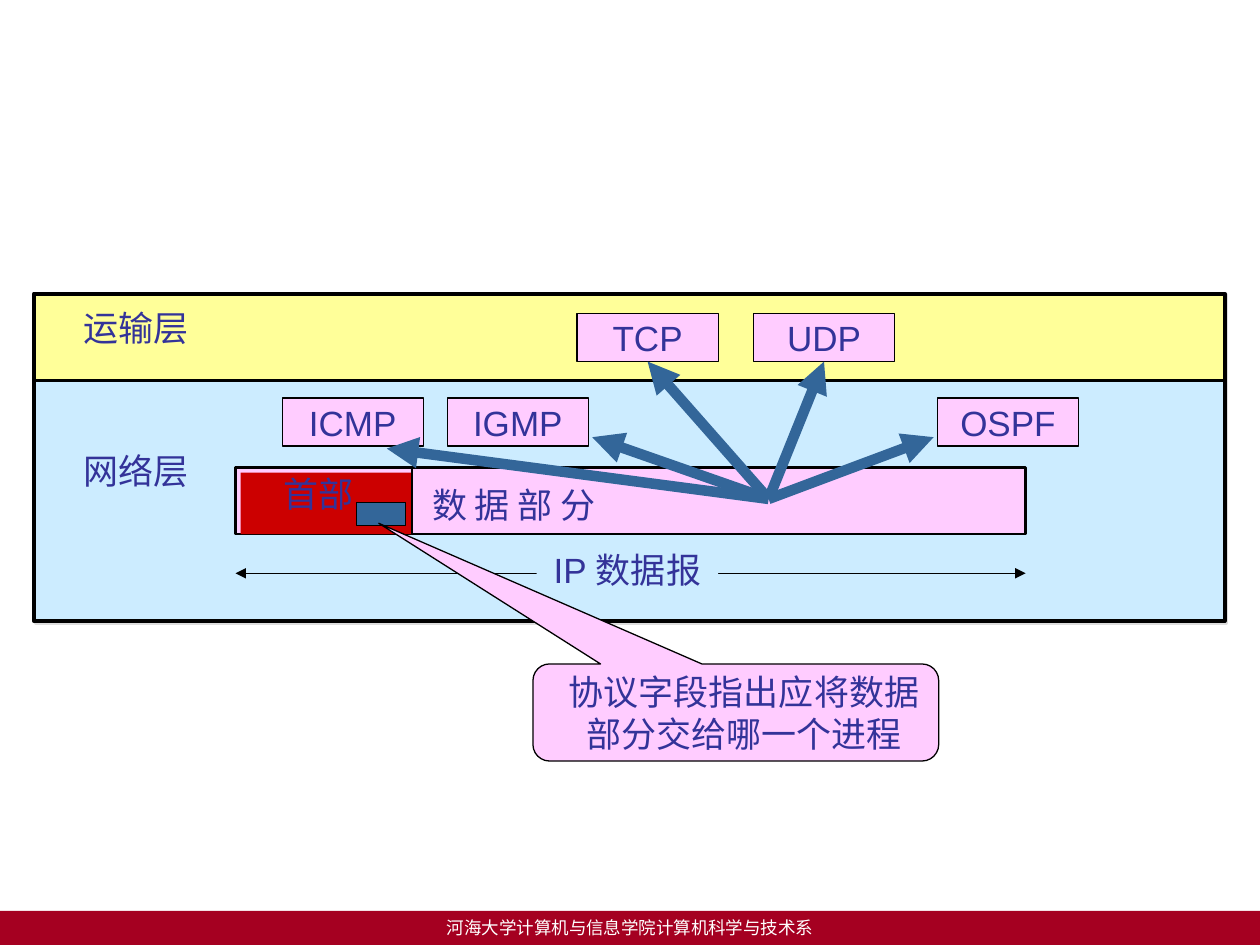
from typing import NamedTuple

from lxml.etree import SubElement as Sub
from pptx import Presentation
from pptx.dml.color import RGBColor as Color
from pptx.enum.shapes import MSO_CONNECTOR as Wire, MSO_SHAPE as Form
from pptx.enum.text import MSO_ANCHOR as Anchor, PP_ALIGN as Align
from pptx.oxml.ns import qn
from pptx.util import Emu, Inches, Pt

WIDTH, HEIGHT = Inches(10), Inches(7.5)
COLS, ROWS = 100, 75


class Theme:
    ink, white, black = "333399", "FFFFFF", "000000"
    sun, sky, pink = "FFFF99", "CCECFF", "FFCCFF"
    red, steel, wine, shade = "CC0000", "336699", "A50021", "DDDDDD"
    face, serif = "Arial", "Times New Roman"
    body, small = 20, 10
    thin, mid, bold, thick = 0.75, 1.5, 2.25, 6


class Box(NamedTuple):
    x: float
    y: float
    w: float
    h: float

    def inner(self, x, y, w, h):
        return Box(self.x + x, self.y + y, w, h)


def across(n):
    return Emu(round(WIDTH * n / COLS))


def down(n):
    return Emu(round(HEIGHT * n / ROWS))


def apply(item, style):
    for key, value in style.items():
        setattr(item, key, value)


def write(shape, text, left=0, top=0, align=Align.CENTER,
          anchor=Anchor.MIDDLE, size=Theme.body, face=Theme.face, ink=Theme.ink):
    frame = shape.text_frame
    apply(frame, {
        "margin_left": across(left), "margin_top": down(top),
        "margin_right": 0, "margin_bottom": 0,
        "word_wrap": False, "vertical_anchor": anchor,
    })
    for n, line in enumerate(text.split("\n")):
        para = frame.add_paragraph() if n else frame.paragraphs[0]
        para.alignment = align
        run = para.add_run()
        run.text = line
        apply(run.font, {"size": Pt(size), "name": face})
        run.font.color.rgb = Color.from_string(ink)


def draw(shapes, box, fill, line=0, form=Form.RECTANGLE):
    shape = shapes.add_shape(form, across(box.x), down(box.y), across(box.w), down(box.h))
    shape.shadow.inherit = False
    shape.fill.solid()
    shape.fill.fore_color.rgb = Color.from_string(fill)
    if line:
        shape.line.width = Pt(line)
        shape.line.color.rgb = Color.from_string(Theme.black)
    else:
        shape.line.fill.background()
    return shape


def label(shape, text, left, top):
    write(shape, text, left, top, Align.LEFT, Anchor.TOP)


def cast(shape):
    effects = shape._element.spPr.find(qn("a:effectLst"))
    shade = Sub(effects, qn("a:outerShdw"), dist=str(Pt(1.4)), dir="2700000", rotWithShape="0")
    Sub(shade, qn("a:srgbClr"), val=Theme.shade)


def link(shapes, start, end, color, width, heads=()):
    wire = shapes.add_connector(Wire.STRAIGHT, across(start[0]), down(start[1]),
                                across(end[0]), down(end[1]))
    wire.line.width = Pt(width)
    wire.line.color.rgb = Color.from_string(color)
    outline = wire._element.spPr.find(qn("a:ln"))
    for head in heads:
        Sub(outline, qn(f"a:{head}"), type="triangle")
    Sub(wire._element.spPr, qn("a:effectLst"))
    return wire


def paint_page(shapes, box):
    foot = 2.7
    bar = draw(shapes, box.inner(0, box.h - foot, box.w, foot), Theme.wine)
    write(bar, "河海大学计算机与信息学院计算机科学与技术系",
          size=Theme.small, face=Theme.serif, ink=Theme.white)
    draw(shapes, box.inner(0, 0, box.w, box.h - foot - 0.1), Theme.white)


def paint_layers(shapes, box):
    split = 6.9
    layers = (("运输层", 0, split, Theme.sun, 1), ("网络层", split, box.h - split, Theme.sky, 5.5))
    for name, top, tall, fill, drop in layers:
        band = draw(shapes, box.inner(0, top, box.w, tall), fill, Theme.bold)
        cast(band)
        label(band, name, 3.9, drop)


def paint_packet(shapes, box):
    body = draw(shapes, box, Theme.pink, Theme.mid)
    label(body, "数 据 部 分", 15.6, 1.3)
    head = draw(shapes, box.inner(0.4, 0.4, 13.6, box.h - 0.4), Theme.red)
    label(head, "首部", 3.4, 0)
    edge = box.x + 14
    link(shapes, (edge, box.y), (edge, box.y + box.h), Theme.black, Theme.thin)


def paint_chips(shapes, box):
    wide, tall, low = 11.2, 3.8, 6.7
    spots = {"TCP": (23.4, 0), "UDP": (37.4, 0),
             "ICMP": (0, low), "IGMP": (13.1, low), "OSPF": (52, low)}
    chips = {}
    for name, (x, y) in spots.items():
        chips[name] = draw(shapes, box.inner(x, y, wide, tall), Theme.pink, Theme.thin)
        write(chips[name], name)

    hub = box.x + 38.6, box.y + 14.7
    level = box.y + low + 3.1
    gap = 0.3
    ends = {
        "UDP": (box.x + 43, box.y + tall),
        "TCP": (box.x + 29, box.y + tall),
        "IGMP": (box.x + 13.1 + wide + gap, level),
        "ICMP": (box.x + 8.3, level + 0.9),
        "OSPF": (box.x + 52 - gap, level),
    }
    for name, end in ends.items():
        wire = link(shapes, hub, end, Theme.steel, Theme.thick, ["tailEnd"])
        if name in ("TCP", "UDP"):
            wire.end_connect(chips[name], 2)


def paint_span(shapes, box):
    level = box.y + 2.5
    link(shapes, (box.x, level), (box.x + box.w, level), Theme.black, Theme.thin,
         ["headEnd", "tailEnd"])
    tag = draw(shapes, box.inner(23.9, 0, 14.4, box.h), Theme.sky)
    write(tag, "IP 数据报")


def paint_note(shapes, box, field):
    group = shapes.add_group_shape().shapes
    draw(group, field, Theme.steel, Theme.thin)
    note = draw(group, box, Theme.pink, Theme.thin, Form.ROUNDED_RECTANGULAR_CALLOUT)
    for n, value in enumerate((-0.88, -1.95, 0.17)):
        note.adjustments[n] = value
    write(note, "协议字段指出应将数据\n部分交给哪一个进程", left=1.3)


def main():
    deck = Presentation()
    apply(deck, {"slide_width": WIDTH, "slide_height": HEIGHT})
    shapes = deck.slides.add_slide(deck.slide_layouts[6]).shapes
    packet = Box(18.7, 37.1, 62.7, 5.3)
    paint_page(shapes, Box(0, 0, COLS, ROWS))
    paint_layers(shapes, Box(2.7, 23.3, 94.5, 26))
    paint_packet(shapes, packet)
    paint_chips(shapes, Box(22.4, 24.9, 63.2, 10.5))
    paint_span(shapes, packet.inner(0, 5.9, packet.w, 4.4))
    paint_note(shapes, Box(42.3, 52.7, 32.2, 7.7), packet.inner(9.6, 2.8, 3.9, 1.8))
    deck.save("out.pptx")


if __name__ == "__main__":
    main()
